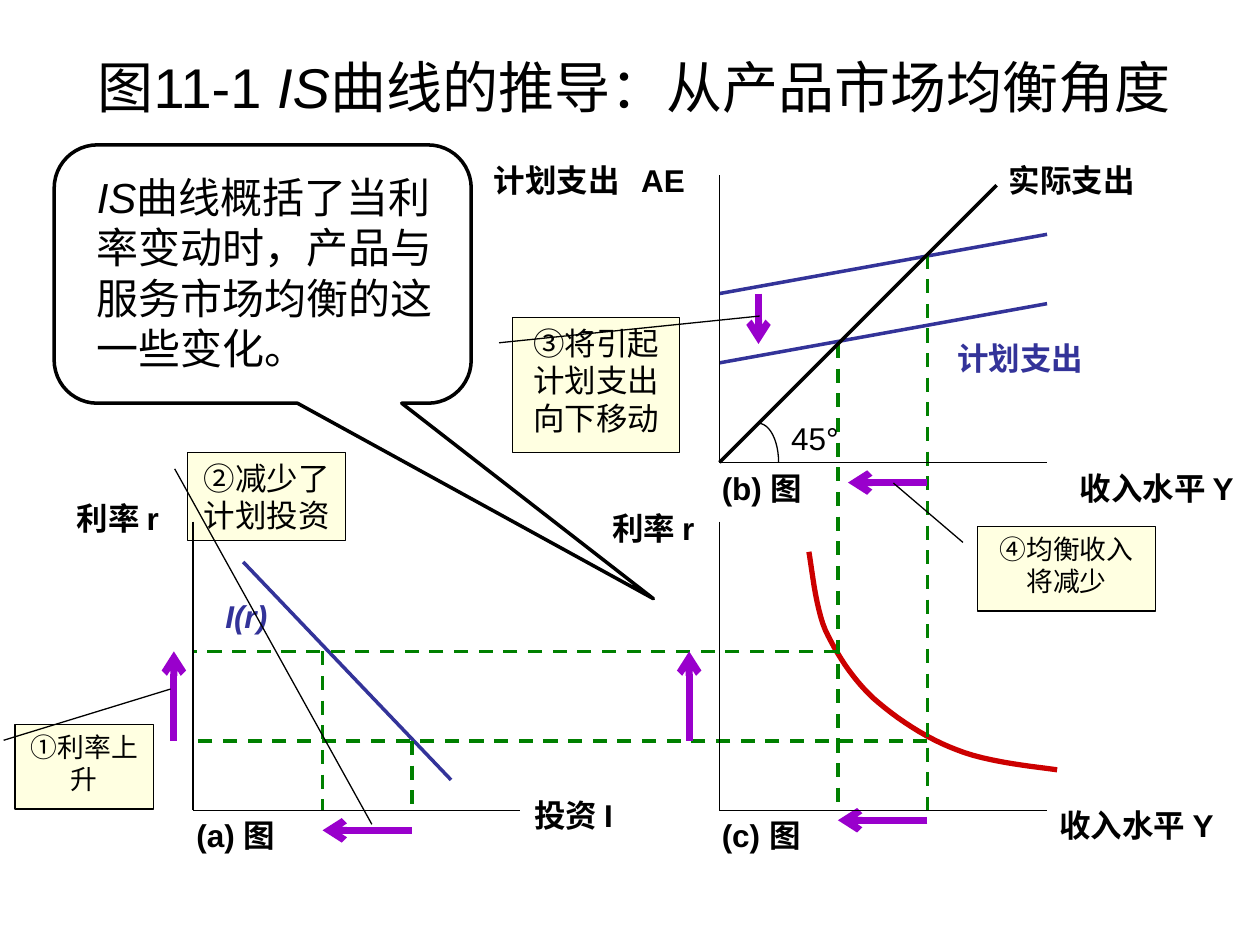
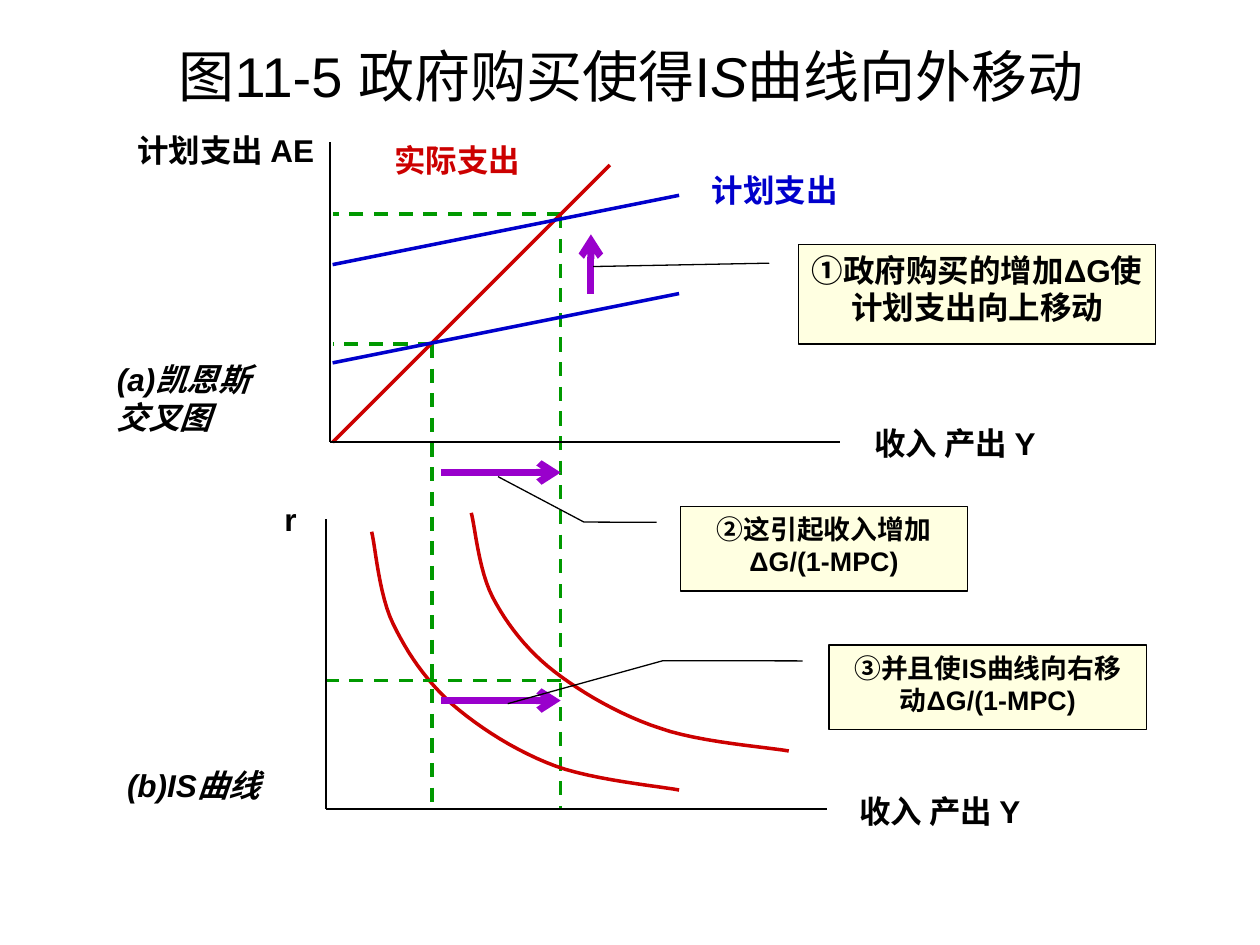
from lxml import etree
from pptx import Presentation
from pptx.dml.color import RGBColor
from pptx.enum.dml import MSO_LINE
from pptx.enum.shapes import MSO_CONNECTOR, MSO_SHAPE
from pptx.enum.text import MSO_ANCHOR, MSO_AUTO_SIZE, PP_ALIGN
from pptx.oxml.ns import qn
from pptx.util import Inches, Pt

STRAIGHT = MSO_CONNECTOR.STRAIGHT
BENT_CALLOUT, CALLOUT = MSO_SHAPE.LINE_CALLOUT_2, MSO_SHAPE.LINE_CALLOUT_1
BUBBLE = MSO_SHAPE.ROUNDED_RECTANGULAR_CALLOUT
DASH = MSO_LINE.DASH
CENTER, LEFT = PP_ALIGN.CENTER, PP_ALIGN.LEFT
TOP, MIDDLE = MSO_ANCHOR.TOP, MSO_ANCHOR.MIDDLE
FIT = MSO_AUTO_SIZE.SHAPE_TO_FIT_TEXT

FONT = "Arial"
BLACK, WHITE, CREAM = "000000", "FFFFFF", "FFFFE1"
RED, PURPLE, INDIGO, BLUE = "CC0000", "9900CC", "333399", "0000CC"
DARK_GREEN, GREEN = "008000", "009900"


def rgb(value):
    return RGBColor.from_string(value)


def box(at):
    return [Inches(v) for v in at]


def write(tf, text, size=18, color=BLACK, bold=False, italic=False,
          align=LEFT, anchor=TOP):
    """Fill a frame; text is a string or a list of (string, italic) runs."""
    tf.word_wrap = True
    tf.vertical_anchor = anchor
    p = tf.paragraphs[0]
    p.alignment = align
    runs = [(text, italic)] if isinstance(text, str) else text
    for part, slanted in runs:
        r = p.add_run()
        r.text = part
        r.font.name, r.font.size = FONT, Pt(size)
        r.font.bold, r.font.italic = bold, slanted
        r.font.color.rgb = rgb(color)


def new_slide(prs, title, at):
    s = prs.slides.add_slide(prs.slide_layouts[5])
    sp = s.shapes.title
    sp.left, sp.top, sp.width, sp.height = box(at)
    write(sp.text_frame, title, size=32, align=CENTER, anchor=MIDDLE)
    return s


def label(s, text, x, y, w, h=0.4, bold=True, **fmt):
    sp = s.shapes.add_textbox(*box((x, y, w, h)))
    write(sp.text_frame, text, bold=bold, **fmt)
    sp.text_frame.auto_size = FIT


def line(s, x1, y1, x2, y2, color=BLACK, width=2, dash=None, arrow=False):
    c = s.shapes.add_connector(STRAIGHT, *box((x1, y1, x2, y2)))
    c.line.color.rgb = rgb(color)
    c.line.width = Pt(width)
    if dash:
        c.line.dash_style = dash
    spPr = c._element.spPr
    if arrow:
        etree.SubElement(spPr.find(qn("a:ln")), qn("a:tailEnd"), type="arrow")
    etree.SubElement(spPr, qn("a:effectLst"))


def shift_arrow(s, x1, y1, x2, y2):
    line(s, x1, y1, x2, y2, PURPLE, 4, arrow=True)


def guides(s, color, *segments):
    for segment in segments:
        line(s, *segment, color=color, dash=DASH)


def axes(s, x, top, bottom, right, base_width=1):
    line(s, x, top, x, bottom, width=1)
    line(s, x, bottom, right, bottom, width=base_width)


def curve(s, points, color=BLACK, width=2, steps=12):
    """Chain of cubic Bezier pieces: start, then two controls and an end each."""
    path = []
    for i in range(0, len(points) - 1, 3):
        a, b, c, d = points[i:i + 4]
        for t in (k / steps for k in range(1, steps + 1)):
            u = 1 - t
            path.append([Inches(u**3 * a[j] + 3 * u * u * t * b[j]
                                + 3 * u * t * t * c[j] + t**3 * d[j])
                         for j in (0, 1)])
    fb = s.shapes.build_freeform(*box(points[0]))
    fb.add_line_segments(path, close=False)
    sp = fb.convert_to_shape()
    sp.fill.background()
    outline(sp, color, width)


def outline(sp, color, width):
    sp.line.color.rgb = rgb(color)
    sp.line.width = Pt(width)
    sp.shadow.inherit = False


def callout(s, kind, at, adjustments, fill=CREAM, width=0.75):
    sp = s.shapes.add_shape(kind, *box(at))
    for i, value in enumerate(adjustments):
        sp.adjustments[i] = value
    sp.fill.solid()
    sp.fill.fore_color.rgb = rgb(fill)
    outline(sp, BLACK, width)
    return sp


def note(s, text, at, leader, **fmt):
    """Cream box whose leader leaves the left edge and runs to given points."""
    kind = BENT_CALLOUT if len(leader) == 4 else CALLOUT
    sp = callout(s, kind, at, (0.188, -0.083, *leader))
    write(sp.text_frame, text, align=CENTER, **fmt)


def product_market_slide(prs):
    s = new_slide(prs, [("图11-1 ", False), ("IS", True),
                        ("曲线的推导：从产品市场均衡角度", False)],
                  (0.35, 0.21, 9.37, 0.94))
    left_x, right_x, base_y = 1.53, 5.71, 6.43
    low_y, high_y = 6.65, 7.36        # income after and before
    high_r, low_r = 5.17, 5.88        # interest rate after and before
    low_i, high_i = 2.56, 3.27        # investment after and before

    # Expenditure lines and the IS curve
    for y in (2.88, 2.33):
        line(s, right_x, y, 8.31, y - 0.47, INDIGO)
    label(s, "计划支出", 7.5, 2.64, 1.36, color=INDIGO)
    label(s, "实际支出", 7.91, 1.23, 1.37)
    curve(s, [(6.42, 4.38), (6.44, 4.48), (6.47, 4.81), (6.55, 5),
              (6.64, 5.19), (6.76, 5.38), (6.93, 5.54),
              (7.11, 5.7), (7.35, 5.86), (7.59, 5.95),
              (7.83, 6.05), (8.25, 6.09), (8.39, 6.11)], RED, 3)

    # Investment line and guides
    label(s, "I(r)", 1.69, 4.69, 0.63, color=INDIGO, italic=True)
    line(s, 1.93, 4.46, 3.58, 6.19, INDIGO)
    guides(s, DARK_GREEN,
           (low_y, 2.73, low_y, base_y), (high_y, 2.02, high_y, base_y),
           (low_y, high_r, left_x, high_r), (high_y, low_r, left_x, low_r),
           (low_i, high_r, low_i, base_y), (high_i, low_r, high_i, base_y))

    # Shifts and their notes
    shift_arrow(s, 5.47, low_r, 5.47, high_r)
    shift_arrow(s, high_y, 6.51, low_y, 6.51)
    shift_arrow(s, 1.38, low_r, 1.38, high_r)
    note(s, "①利率上升", (0.12, 5.75, 1.1, 0.67), (-0.42, 1.122), size=15.3)
    shift_arrow(s, high_i, 6.59, low_i, 6.59)
    note(s, "②减少了计划投资", (1.49, 3.59, 1.25, 0.7), (4.218, 1.169))
    shift_arrow(s, 6.02, 2.33, 6.02, 2.73)
    note(s, "③将引起计划支出向下移动", (4.07, 2.52, 1.32, 1.07),
         (-0.011, 1.484))
    shift_arrow(s, high_y, 3.83, 6.73, 3.83)
    note(s, "④均衡收入将减少", (7.76, 4.18, 1.41, 0.67),
         (-0.516, -0.475), size=15.3)

    # Speech bubble
    callout(s, BUBBLE, (0.43, 1.15, 3.31, 2.05), (0.937, 1.257, 0.167),
            fill=WHITE, width=2)
    label(s, [("IS", True),
              ("曲线概括了当利率变动时，产品与服务市场均衡的这一些变化。", False)],
          0.67, 1.31, 2.99, 2.1, size=24, bold=False)

    # Panel a: investment
    axes(s, left_x, 4.14, base_y, 4.13, 0.75)
    label(s, "利率 r", 0.51, 3.91, 1.1)
    label(s, "投资 I", 4.14, 6.27, 0.87, 0.7)
    label(s, "(a) 图", 1.46, base_y, 1.08)

    # Panel b: expenditure
    axes(s, right_x, 1.39, 3.67, 8.31, 0.75)
    label(s, "计划支出   AE", 3.82, 1.23, 2.05)
    label(s, "收入水平 Y", 8.47, 3.67, 1.5)
    line(s, right_x, 3.67, 7.91, 1.47)
    curve(s, [(6.02, 3.36), (6.11, 3.36), (6.18, 3.5), (6.18, 3.67)],
          width=0.75)
    label(s, "45°", 6.18, 3.28, 0.79, bold=False)
    label(s, "(b) 图", 5.63, 3.67, 1.08)

    # Panel c: IS curve
    axes(s, right_x, 4.14, base_y, 8.31, 0.75)
    label(s, "利率 r", 4.76, 3.99, 1.1)
    label(s, "收入水平 Y", 8.31, 6.35, 1.49)
    label(s, "(c) 图", 5.63, base_y, 1.08)


def government_purchases_slide(prs):
    s = new_slide(prs, [("图11-5 政府购买使得I", False), ("S", True),
                        ("曲线向外移动", False)], (0.51, 0.13, 9, 0.94))
    old_y, new_y = 3.43, 4.45         # income before and after
    cross_x = 2.64

    # Guides and IS curves
    guides(s, GREEN,
           (old_y, 2.73, old_y, 6.43), (new_y, 1.7, new_y, 6.43),
           (old_y, 2.73, cross_x, 2.73), (new_y, 1.7, cross_x, 1.7))
    curve(s, [(2.95, 4.22), (2.98, 4.34), (3.01, 4.73), (3.12, 4.95),
              (3.23, 5.18), (3.38, 5.4), (3.59, 5.59),
              (3.81, 5.78), (4.11, 5.97), (4.41, 6.08),
              (4.71, 6.19), (5.23, 6.24), (5.39, 6.27)], RED)
    curve(s, [(3.74, 4.07), (3.77, 4.18), (3.8, 4.53), (3.91, 4.74),
              (4.02, 4.95), (4.18, 5.16), (4.4, 5.33),
              (4.62, 5.5), (4.93, 5.68), (5.24, 5.78),
              (5.55, 5.89), (6.09, 5.93), (6.26, 5.96)], RED)
    guides(s, GREEN, (new_y, 5.4, 2.56, 5.4))

    # Expenditure lines
    line(s, cross_x, 3.51, 4.84, 1.31, RED)
    label(s, "实际支出", 3.03, 1.07, 1.55, color=RED)
    for y in (2.88, 2.1):
        line(s, cross_x, y, 5.39, y - 0.55, BLUE)
    label(s, "计划支出", 5.55, 1.31, 1.55, color=BLUE)

    # Shifts and their notes
    shift_arrow(s, 4.69, 2.33, 4.69, 1.86)
    note(s, "①政府购买的增加ΔG使计划支出向上移动",
         (6.34, 1.94, 2.83, 0.79), (0.222, -0.577), bold=True)
    shift_arrow(s, 3.5, 3.75, new_y, 3.75)
    note(s, "②这引起收入增加ΔG/(1-MPC)", (5.4, 4.02, 2.28, 0.67),
         (0.185, -0.336, -0.354, -0.635), size=15.3, bold=True)
    shift_arrow(s, 3.5, 5.56, new_y, 5.56)
    note(s, "③并且使IS曲线向右移动ΔG/(1-MPC)", (6.58, 5.12, 2.52, 0.67),
         (0.185, -0.523, 0.694, -1.012), size=15.3, bold=True)

    # Panel a: Keynesian cross
    axes(s, 2.62, 1.13, 3.51, 6.67)
    label(s, "计划支出 AE", 0.99, 0.99, 1.65, 0.7)
    label(s, "收入 产出 Y", 6.84, 3.32, 1.78)
    label(s, "(a)凯恩斯交叉图", 0.83, 2.81, 1.38, 0.7, italic=True)

    # Panel b: IS curve
    axes(s, 2.59, 4.12, 6.42, 6.56)
    label(s, "r", 2.16, 3.92, 0.33)
    label(s, "收入 产出 Y", 6.72, 6.24, 1.75)
    label(s, "(b)IS曲线", 0.91, 6.03, 1.38, italic=True)


def main():
    prs = Presentation()
    prs.slide_width, prs.slide_height = Inches(10), Inches(7.5)
    product_market_slide(prs)
    government_purchases_slide(prs)
    prs.save("out.pptx")


if __name__ == "__main__":
    main()
